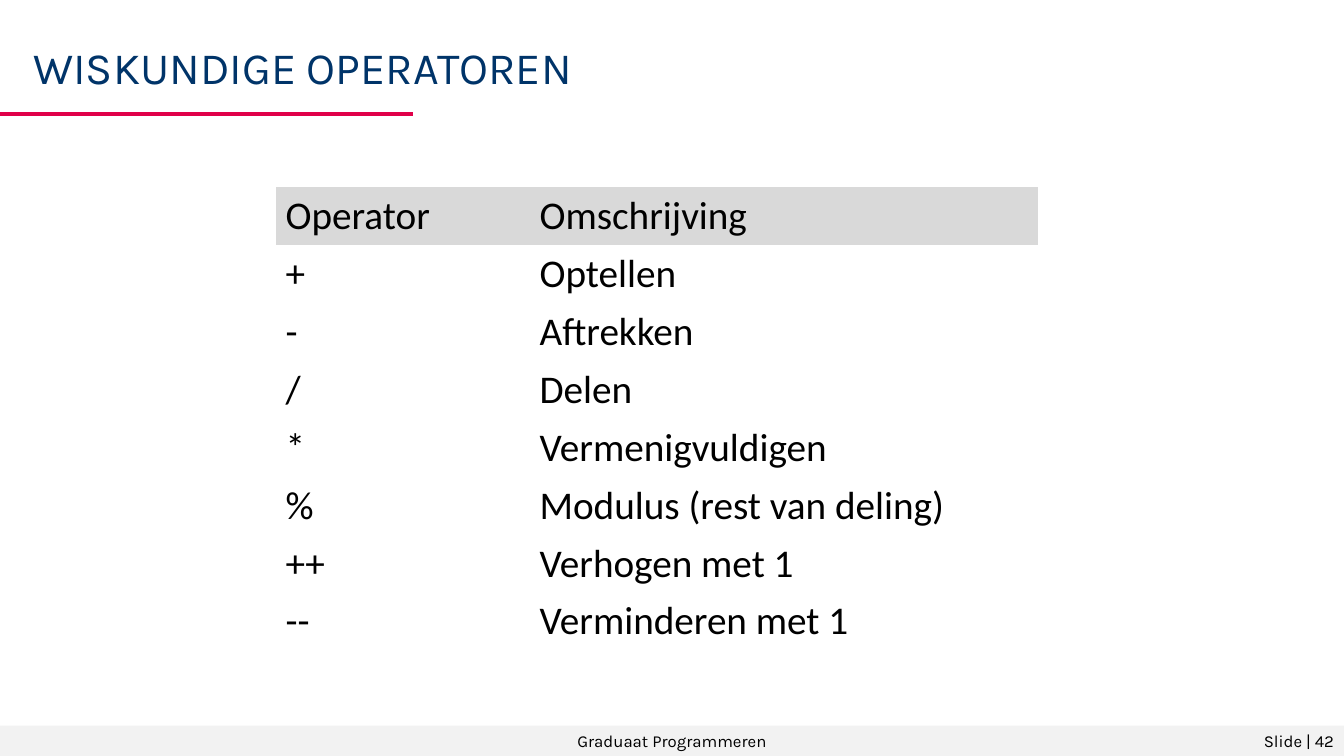
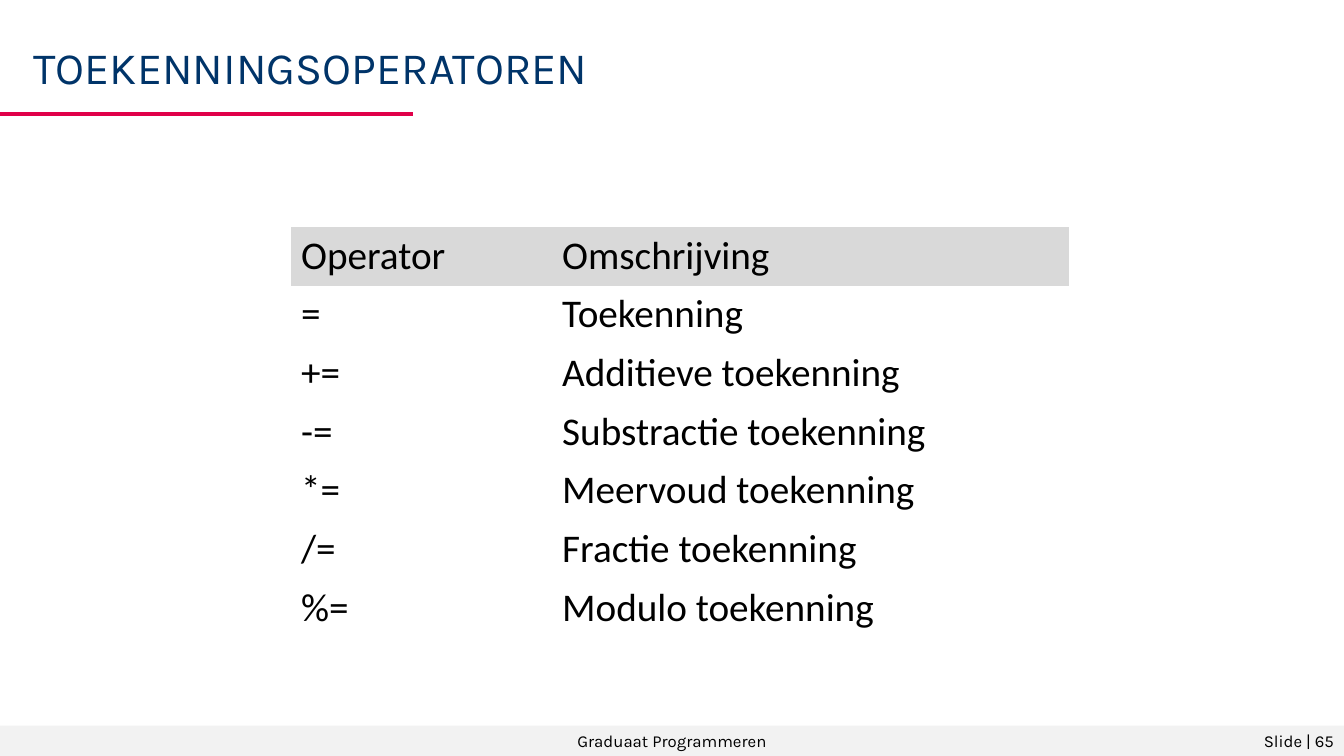
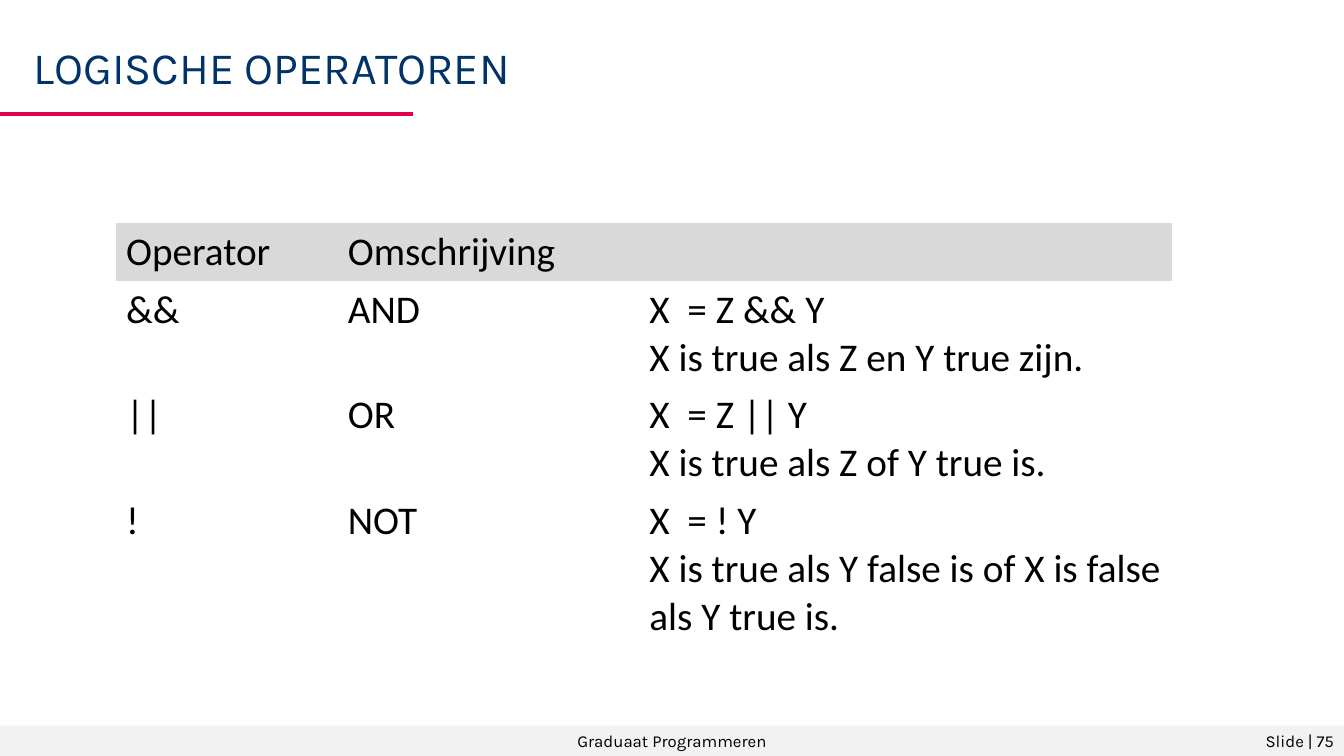
from dataclasses import dataclass

from lxml import etree
from pptx import Presentation
from pptx.dml.color import RGBColor
from pptx.enum.shapes import MSO_CONNECTOR, MSO_SHAPE
from pptx.enum.text import MSO_ANCHOR, PP_ALIGN
from pptx.oxml.ns import qn
from pptx.slide import Slide
from pptx.text.text import TextFrame
from pptx.util import Pt

RECTANGLE = MSO_SHAPE.RECTANGLE
STRAIGHT = MSO_CONNECTOR.STRAIGHT
TOP, MIDDLE = MSO_ANCHOR.TOP, MSO_ANCHOR.MIDDLE
LEFT, CENTER, RIGHT = PP_ALIGN.LEFT, PP_ALIGN.CENTER, PP_ALIGN.RIGHT

COLOURS = {
    "title": "003469",
    "accent": "E00049",
    "band": "F2F2F2",
    "header": "D9D9D9",
    "text": "000000",
}
HEADING_FONT, TABLE_FONT = "Karla", "Calibri"
PAGE_WIDTH, PAGE_HEIGHT = 960, 540
BAND_HEIGHT = 21.6
NUMBER_WIDTH = 216
RULE_TOP, RULE_WIDTH = 81.4, 295.2
CELL_PADDING = 7.2
TITLE_ONLY = 5
PLAIN_TABLE_STYLE = "{2D5ABB26-0587-4C30-8999-92F81FD0307C}"


@dataclass(frozen=True)
class OperatorTable:
    left: float
    top: float
    columns: tuple[float, ...]
    line_height: float
    rows: tuple[tuple[str, ...], ...]


@dataclass(frozen=True)
class OperatorPage:
    title: str
    number: int
    table: OperatorTable


PAGES = (
    OperatorPage("WISKUNDIGE OPERATOREN", 42, OperatorTable(
        196.9, 133.6, (181.4, 362.9), 34.2, (
            ("Operator", "Omschrijving"),
            ("+", "Optellen"),
            ("-", "Aftrekken"),
            ("/", "Delen"),
            ("*", "Vermenigvuldigen"),
            ("%", "Modulus (rest van deling)"),
            ("++", "Verhogen met 1"),
            ("--", "Verminderen met 1"),
        ))),
    OperatorPage("TOEKENNINGSOPERATOREN", 65, OperatorTable(
        207.9, 162.1, (186.5, 368.9), 34.7, (
            ("Operator", "Omschrijving"),
            ("=", "Toekenning"),
            ("+=", "Additieve toekenning"),
            ("-=", "Substractie toekenning"),
            ("*=", "Meervoud toekenning"),
            ("/=", "Fractie toekenning"),
            ("%=", "Modulo toekenning"),
            ("", ""),
        ))),
    OperatorPage("LOGISCHE OPERATOREN", 75, OperatorTable(
        82.9, 159.2, (158.4, 215.4, 380.2), 34.2, (
            ("Operator", "Omschrijving", ""),
            ("&&", "AND", "X  = Z && Y\nX is true als Z en Y true zijn."),
            ("||", "OR", "X  = Z || Y\nX is true als Z of Y true is."),
            ("!", "NOT", "X  = ! Y\nX is true als Y false is of X is false "
                         "als Y true is."),
        ))),
)


def colour(name: str) -> RGBColor:
    return RGBColor.from_string(COLOURS[name])


def write_text(frame: TextFrame, text: str, font: str, size: float,
               ink: str = "text", align: PP_ALIGN = LEFT) -> None:
    frame.text = text
    for para in frame.paragraphs:
        para.alignment = align
        para.font.name = font
        para.font.size = Pt(size)
        para.font.color.rgb = colour(ink)


def add_title(page: Slide, text: str) -> None:
    title = page.shapes.title
    title.left, title.top = Pt(16.6), Pt(28.8)
    title.width, title.height = Pt(877), Pt(53.3)
    frame = title.text_frame
    write_text(frame, text, HEADING_FONT, 32, "title")
    frame.vertical_anchor = TOP
    frame.paragraphs[0].line_spacing = 0.9


def add_furniture(page: Slide, number: int) -> None:
    band_top = PAGE_HEIGHT - BAND_HEIGHT
    band = page.shapes.add_shape(
        RECTANGLE, 0, Pt(band_top), Pt(PAGE_WIDTH), Pt(BAND_HEIGHT))
    band.shadow.inherit = False
    band.fill.solid()
    band.fill.fore_color.rgb = colour("band")
    band.line.fill.background()
    write_text(band.text_frame, "Graduaat Programmeren", HEADING_FONT, 12,
               align=CENTER)

    box = page.shapes.add_textbox(
        Pt(PAGE_WIDTH - NUMBER_WIDTH), Pt(band_top),
        Pt(NUMBER_WIDTH), Pt(BAND_HEIGHT))
    box.text_frame.word_wrap = True
    box.text_frame.vertical_anchor = MIDDLE
    write_text(box.text_frame, f"Slide | {number}", HEADING_FONT, 12,
               align=RIGHT)

    rule = page.shapes.add_connector(
        STRAIGHT, 0, Pt(RULE_TOP), Pt(RULE_WIDTH), Pt(RULE_TOP))
    rule.line.color.rgb = colour("accent")
    rule.line.width = Pt(3)
    etree.SubElement(rule._element.spPr, qn("a:effectLst"))


def row_height(cells: tuple[str, ...], line_height: float,
               last_width: float) -> float:
    characters_per_line = int((last_width - 2 * CELL_PADDING) / 10)
    lines = max(
        sum(1 + len(line) // characters_per_line for line in text.split("\n"))
        for text in cells)
    return CELL_PADDING + lines * line_height


def add_operator_table(page: Slide, spec_table: OperatorTable) -> None:
    widths = spec_table.columns
    heights = [row_height(cells, spec_table.line_height, widths[-1])
               for cells in spec_table.rows]
    holder = page.shapes.add_table(
        len(heights), len(widths), Pt(spec_table.left), Pt(spec_table.top),
        Pt(sum(widths)), Pt(sum(heights)))
    table = holder.table
    table.first_row = False
    table.horz_banding = False
    table._tbl.tblPr.find(qn("a:tableStyleId")).text = PLAIN_TABLE_STYLE
    for column, width in zip(table.columns, widths):
        column.width = Pt(width)
    for row_index, cells in enumerate(spec_table.rows):
        table.rows[row_index].height = Pt(heights[row_index])
        for column_index, text in enumerate(cells):
            cell = table.cell(row_index, column_index)
            write_text(cell.text_frame, text, TABLE_FONT, 28)
            if row_index == 0:
                cell.fill.solid()
                cell.fill.fore_color.rgb = colour("header")
            else:
                cell.fill.background()


def main() -> None:
    deck = Presentation()
    deck.slide_width, deck.slide_height = Pt(PAGE_WIDTH), Pt(PAGE_HEIGHT)
    for content in PAGES:
        page = deck.slides.add_slide(deck.slide_layouts[TITLE_ONLY])
        add_furniture(page, content.number)
        add_title(page, content.title)
        add_operator_table(page, content.table)
    deck.save("out.pptx")


if __name__ == "__main__":
    main()
